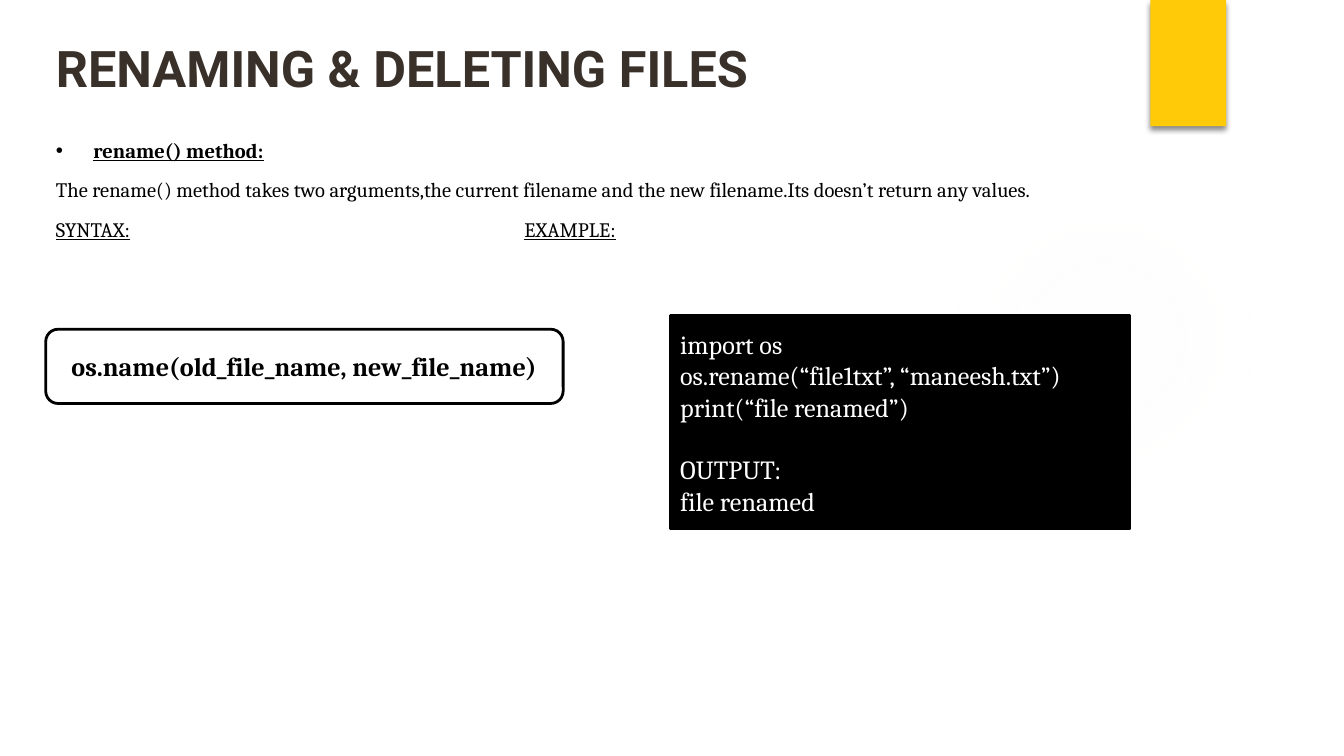
from lxml import etree
from pptx import Presentation
from pptx.dml.color import RGBColor
from pptx.enum.shapes import MSO_SHAPE
from pptx.enum.text import MSO_ANCHOR, PP_ALIGN
from pptx.oxml import parse_xml
from pptx.oxml.ns import qn
from pptx.util import Pt

RECT, ROUNDED, OVAL = MSO_SHAPE.RECTANGLE, MSO_SHAPE.ROUNDED_RECTANGLE, MSO_SHAPE.OVAL
TOP, MIDDLE = MSO_ANCHOR.TOP, MSO_ANCHOR.MIDDLE
LEFT, CENTER = PP_ALIGN.LEFT, PP_ALIGN.CENTER
NS = 'xmlns:a="http://schemas.openxmlformats.org/drawingml/2006/main"'
COLORS = {"title": "39302A", "black": "000000", "white": "FFFFFF",
          "accent": "FFCA08", "glow": "F4F1F0"}

TITLE = "RENAMING & DELETING FILES"
METHOD = "rename() method:"
DESCRIPTION = ("The rename() method takes two arguments,the current filename and the "
               "new filename.Its doesn’t return any values.")
HEADINGS = ("SYNTAX:", "EXAMPLE:")
SYNTAX = "os.name(old_file_name, new_file_name)"
CODE = ["import os", "os.rename(“file1txt”, “maneesh.txt”)", "print(“file renamed”)"]
OUTPUT = ["OUTPUT:", "file renamed"]

GLOW_STOPS = [(0, 7), (36, 6), (69, 0), (100, 0)]
INDENT, EXAMPLE_TAB, CODE_LINE = 20, 251, 16.8


def add_run(p, text, size, color, font="Cambria", bold=False, underline=False):
    r = p.add_run()
    r.text = text
    r.font.name, r.font.size = font, Pt(size)
    r.font.bold, r.font.underline = bold, underline
    r.font.color.rgb = RGBColor.from_string(COLORS[color])


def set_frame(s, anchor):
    tf = s.text_frame
    tf.word_wrap = True
    tf.vertical_anchor = anchor
    tf.margin_left = tf.margin_right = Pt(5.2)
    tf.margin_top = tf.margin_bottom = Pt(2.6)
    return tf


def add_text(slide, box):
    return set_frame(slide.shapes.add_textbox(*map(Pt, box)), TOP)


def add_box(slide, kind, box, fill=None, line=None):
    s = slide.shapes.add_shape(kind, *map(Pt, box))
    s.fill.background()
    if fill:
        s.fill.solid()
        s.fill.fore_color.rgb = RGBColor.from_string(COLORS[fill])
    s.line.fill.background()
    if line:
        s.line.color.rgb = RGBColor.from_string(COLORS[line])
        s.line.width = Pt(1.5)
    s.shadow.inherit = False
    return s


def next_paragraph(tf, space=0):
    if not tf.paragraphs[0].runs:
        return tf.paragraphs[0]
    p = tf.add_paragraph()
    p.space_before = Pt(space)
    return p


def add_glow(slide):
    s = add_box(slide, OVAL, (508.3, 99.4, 166.3, 166.3))
    stops = "".join(
        f'<a:gs pos="{pos * 1000}"><a:srgbClr val="{COLORS["glow"]}">'
        f'<a:alpha val="{alpha * 1000}"/></a:srgbClr></a:gs>' for pos, alpha in GLOW_STOPS)
    gradient = parse_xml(
        f'<a:gradFill {NS}><a:gsLst>{stops}</a:gsLst><a:path path="circle">'
        '<a:fillToRect l="50000" t="50000" r="50000" b="50000"/></a:path></a:gradFill>')
    props = s._element.spPr
    props.replace(props.find(qn("a:noFill")), gradient)


def add_ribbon(slide):
    s = add_box(slide, RECT, (616.3, 0, 40.5, 67.7), "accent")
    s._element.spPr.find(qn("a:effectLst")).append(parse_xml(
        f'<a:outerShdw {NS} blurRad="{Pt(3)}" dist="{Pt(2)}" dir="5400000" rotWithShape="0">'
        f'<a:srgbClr val="{COLORS["black"]}"><a:alpha val="45000"/></a:srgbClr></a:outerShdw>'))


def add_body(slide):
    tf = add_text(slide, (24.8, 71.3, 596, 297))
    p = next_paragraph(tf)
    props = p._p.get_or_add_pPr()
    props.set("marL", str(Pt(INDENT)))
    props.set("indent", str(-Pt(INDENT)))
    etree.SubElement(props, qn("a:buFont")).set("typeface", "Arial")
    etree.SubElement(props, qn("a:buChar")).set("char", "•")
    add_run(p, METHOD, 11, "black", bold=True, underline=True)

    add_run(next_paragraph(tf, 8), DESCRIPTION, 11, "black")

    p = next_paragraph(tf, 8)
    tabs = etree.SubElement(p._p.get_or_add_pPr(), qn("a:tabLst"))
    etree.SubElement(tabs, qn("a:tab"), pos=str(Pt(EXAMPLE_TAB)), algn="l")
    syntax, example = HEADINGS
    add_run(p, syntax, 11, "black", underline=True)
    add_run(p, "\t", 11, "black")
    add_run(p, example, 11, "black", underline=True)


def add_syntax(slide):
    s = add_box(slide, ROUNDED, (24.5, 176.4, 277.2, 39.8), "white", "black")
    p = next_paragraph(set_frame(s, MIDDLE))
    p.alignment = CENTER
    add_run(p, SYNTAX, 14, "black", bold=True)


def add_example(slide):
    tf = set_frame(add_box(slide, RECT, (359.2, 169.2, 246.2, 114.3), "black", "black"), MIDDLE)
    for block in (CODE, OUTPUT):
        for i, line in enumerate(block):
            p = next_paragraph(tf, 0 if i else CODE_LINE)
            p.alignment = LEFT
            add_run(p, line, 14, "white")


def main():
    prs = Presentation()
    prs.slide_width, prs.slide_height = Pt(720), Pt(405)
    slide = prs.slides.add_slide(prs.slide_layouts[6])
    add_glow(slide)
    add_ribbon(slide)
    title = add_text(slide, (24.8, 17.3, 555, 83))
    add_run(next_paragraph(title), TITLE, 27, "title", "Roboto", bold=True)
    add_body(slide)
    add_syntax(slide)
    add_example(slide)
    prs.save("out.pptx")


if __name__ == "__main__":
    main()
